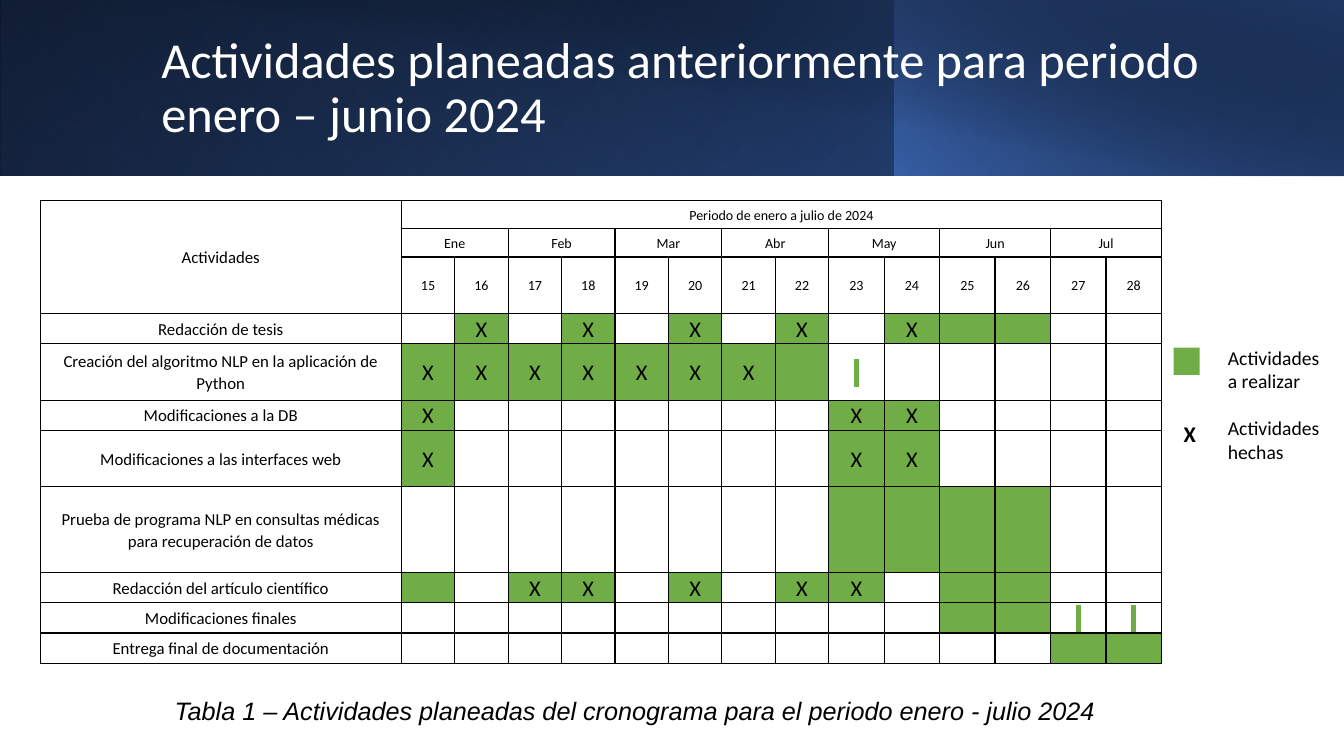
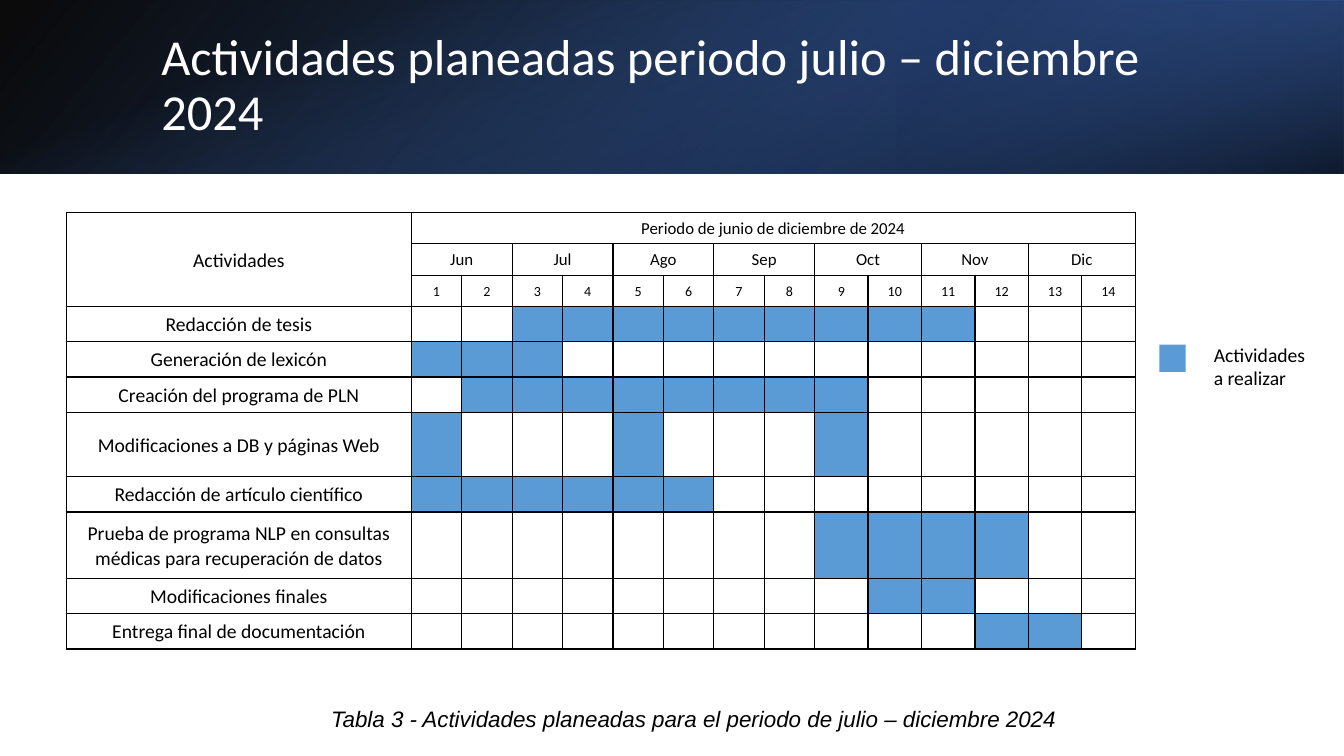
from lxml.etree import SubElement
from pptx import Presentation
from pptx.dml.color import RGBColor
from pptx.enum.shapes import MSO_SHAPE
from pptx.enum.text import MSO_ANCHOR, PP_ALIGN
from pptx.oxml.ns import qn
from pptx.util import Inches, Pt

BLACK = RGBColor(0x00, 0x00, 0x00)
WHITE = RGBColor(0xFF, 0xFF, 0xFF)
NAVY = RGBColor(0x20, 0x38, 0x64)
DEEP_BLUE = RGBColor(0x2F, 0x55, 0x97)
BLUE = RGBColor(0x44, 0x72, 0xC4)
GREEN = RGBColor(0x70, 0xAD, 0x47)
SKY = RGBColor(0x5B, 0x9B, 0xD5)

PLANNED, DONE, MARK = "#", "X", "|"
HEADER_ROWS = 3
TITLE_ONLY = 5


def lengths(values):
    return [Inches(value) for value in values]


class Schedule:
    """Holds the deck style and the slide being drawn."""

    def __init__(self):
        self.deck = Presentation()
        self.deck.slide_width, self.deck.slide_height = lengths((13.33, 7.5))
        self.slide = None

    def new_slide(self):
        self.slide = self.deck.slides.add_slide(self.deck.slide_layouts[TITLE_ONLY])

    def style(self, paragraph, size, color=BLACK, font="Calibri", align=PP_ALIGN.LEFT):
        paragraph.alignment = align
        paragraph.font.name = font
        paragraph.font.size = Pt(size)
        paragraph.font.color.rgb = color

    def rectangle(self, box):
        shape = self.slide.shapes.add_shape(MSO_SHAPE.RECTANGLE, *lengths(box))
        shape.shadow.inherit = False
        shape.line.fill.background()
        return shape

    def band(self, box, stops, angle, flip=False, rotation=0):
        """Gradient rectangle; stops are (position, colour, opacity) in percent, angle is clockwise."""
        shape = self.rectangle(box)
        shape.rotation = rotation
        if flip:
            shape.element.spPr.xfrm.set("flipH", "1")
        shape.fill.gradient()
        shape.fill.gradient_angle = 360 - angle
        for stop, (position, color, _) in zip(shape.fill.gradient_stops, stops):
            stop.position = position / 100
            stop.color.rgb = color
        for color_node, (_, _, opacity) in zip(shape.element.xpath(".//a:gs/a:srgbClr"), stops):
            SubElement(color_node, qn("a:alpha")).set("val", str(opacity * 1000))

    def title(self, text, box):
        title = self.slide.shapes.title
        title.left, title.top, title.width, title.height = lengths(box)
        title.text_frame.text = text
        title.text_frame.vertical_anchor = MSO_ANCHOR.MIDDLE
        heading = title.text_frame.paragraphs[0]
        heading.line_spacing = 0.9
        self.style(heading, 36, WHITE)
        title.element.getparent().append(title.element)  # in front of the bands

    def text(self, text, box, size, **style):
        frame = self.slide.shapes.add_textbox(*lengths(box)).text_frame
        frame.word_wrap = True
        frame.text = text
        self.style(frame.paragraphs[0], size, **style)
        return frame.paragraphs[0]

    def caption(self, text, box, size):
        self.text(text, box, size, font="Arial", align=PP_ALIGN.CENTER).font.italic = True

    def legend_planned(self, left, top, color):
        swatch = self.rectangle((left, top, 0.26, 0.27))
        swatch.fill.solid()
        swatch.fill.fore_color.rgb = color
        self.text("Actividades a realizar", (left + 0.44, top - 0.07, 1.17, 0.57), 14)

    def legend_done(self, left, top):
        self.text(DONE, (left, top, 0.42, 0.37), 16).font.bold = True
        self.text("Actividades hechas", (left + 0.44, top - 0.04, 1.17, 0.57), 14)

    def borders(self, cell):
        properties = cell._tc.get_or_add_tcPr()
        for position, side in enumerate(("a:lnL", "a:lnR", "a:lnT", "a:lnB")):
            line = SubElement(properties, qn(side), w=str(Pt(1)))
            SubElement(SubElement(line, qn("a:solidFill")), qn("a:srgbClr"), val=str(BLACK))
            properties.insert(position, line)

    def cell(self, cell, text, size, fill=None):
        cell.margin_left = cell.margin_right = Inches(0.07)
        cell.margin_top = cell.margin_bottom = 0
        cell.vertical_anchor = MSO_ANCHOR.MIDDLE
        paragraph = cell.text_frame.paragraphs[0]
        if text:
            paragraph.add_run().text = text
        paragraph.line_spacing = 1.07
        paragraph.space_after = Pt(8)
        self.style(paragraph, size, align=PP_ALIGN.CENTER)
        if fill is None:
            cell.fill.background()
        else:
            cell.fill.solid()
            cell.fill.fore_color.rgb = fill
        self.borders(cell)

    def week(self, cell, state, color):
        text = {DONE: DONE, MARK: " "}.get(state, "")
        self.cell(cell, text, 16 if text else 10, color if state in (PLANNED, DONE) else None)
        if state == MARK:
            run = cell.text_frame.paragraphs[0].runs[0]
            highlight = SubElement(run._r.get_or_add_rPr(), qn("a:highlight"))
            SubElement(highlight, qn("a:srgbClr"), val=str(color))

    def gantt(self, box, columns, heights, period, months, first_week, activities, color,
              label_size, month_size):
        weeks = 2 * len(months)
        table = self.slide.shapes.add_table(
            HEADER_ROWS + len(activities), 1 + weeks, *lengths(box)).table
        table.first_row = table.horz_banding = False
        for column, width in zip(table.columns, lengths(columns)):
            column.width = width
        for row, height in zip(table.rows, lengths(heights)):
            row.height = height

        headers = [
            ["Actividades", period] + [""] * (weeks - 1),
            [""] + [name for month in months for name in (month, "")],
            [""] + [str(first_week + week) for week in range(weeks)],
        ]
        for row, (texts, size) in enumerate(zip(headers, (month_size, month_size, 10))):
            for column, text in enumerate(texts):
                self.cell(table.cell(row, column), text, size if column else label_size)
        table.cell(0, 0).merge(table.cell(HEADER_ROWS - 1, 0))
        table.cell(0, 1).merge(table.cell(0, weeks))
        for column in range(1, weeks, 2):
            table.cell(1, column).merge(table.cell(1, column + 1))

        for row, (activity, states) in enumerate(activities, HEADER_ROWS):
            self.cell(table.cell(row, 0), activity, label_size)
            for column, state in enumerate(states, 1):
                self.week(table.cell(row, column), state, color)


def first_half(schedule):
    schedule.new_slide()
    schedule.band((0, 0, 13.33, 1.74), [(0, BLACK, 100), (100, DEEP_BLUE, 100)], 140, flip=True)
    schedule.band((0, 0, 8.88, 1.74), [(20, BLUE, 0), (100, NAVY, 55)], 230, flip=True,
                  rotation=180)
    schedule.band((8.87, 0, 4.46, 1.74), [(0, BLUE, 66), (100, BLACK, 30)], 220, flip=True)
    schedule.band((0.5, 0, 12.83, 1.75), [(50, BLACK, 0), (99, NAVY, 52)], 280)
    schedule.title("Actividades planeadas anteriormente para periodo enero – junio 2024",
                   (1.5, 0.32, 10.82, 1.13))
    schedule.gantt(
        (0.4, 1.99, 11.08, 4.61),
        [3.58] + [0.53] * 8 + [0.55] * 6,
        [0.28, 0.28, 0.56, 0.3, 0.56, 0.3, 0.56, 0.85, 0.3, 0.3, 0.3],
        "Periodo de enero a julio de 2024",
        ["Ene", "Feb", "Mar", "Abr", "May", "Jun", "Jul"], 15,
        [
            ("Redacción de tesis", ".X.X.X.X.X##.."),
            ("Creación del algoritmo NLP en la aplicación de Python", "XXXXXXX#|....."),
            ("Modificaciones a la DB", "X.......XX...."),
            ("Modificaciones a las interfaces web", "X.......XX...."),
            ("Prueba de programa NLP en consultas médicas para recuperación de datos",
             "........####.."),
            ("Redacción del artículo científico", "#.XX.X.XX.##.."),
            ("Modificaciones finales", "..........##||"),
            ("Entrega final de documentación", "............##"),
        ],
        GREEN, label_size=12, month_size=10)
    schedule.legend_planned(11.64, 3.45, GREEN)
    schedule.legend_done(11.64, 4.12)
    schedule.caption(
        "Tabla 1 – Actividades planeadas del cronograma para el periodo enero - julio 2024",
        (1.36, 6.85, 9.87, 0.4), 18)


def second_half(schedule):
    schedule.new_slide()
    schedule.band((0, 0, 13.33, 1.72), [(0, BLACK, 96), (100, DEEP_BLUE, 100)], 140, flip=True)
    schedule.band((8.89, 0, 4.44, 1.72), [(19, NAVY, 68), (100, BLUE, 79)], 320, flip=True,
                  rotation=180)
    schedule.band((5.8, -5.8, 1.72, 13.33), [(23, BLUE, 0), (99, BLACK, 74)], 340, rotation=90)
    schedule.title("Actividades planeadas periodo julio – diciembre 2024",
                   (1.5, 0.38, 10.98, 0.96))
    schedule.gantt(
        (0.66, 2.11, 10.59, 4.32),
        [3.42] + [0.5] * 8 + [0.53] * 6,
        [0.31, 0.31, 0.31, 0.35, 0.35, 0.35, 0.64, 0.35, 0.66, 0.35, 0.35],
        "Periodo de junio de diciembre de 2024",
        ["Jun", "Jul", "Ago", "Sep", "Oct", "Nov", "Dic"], 1,
        [
            ("Redacción de tesis", "..#########..."),
            ("Generación de lexicón", "###..........."),
            ("Creación del programa de PLN", ".########....."),
            ("Modificaciones a DB y páginas Web", "#...#...#....."),
            ("Redacción de artículo científico", "######........"),
            ("Prueba de programa NLP en consultas médicas para recuperación de datos",
             "........####.."),
            ("Modificaciones finales", ".........##..."),
            ("Entrega final de documentación", "...........##."),
        ],
        SKY, label_size=14, month_size=12)
    schedule.legend_planned(11.5, 3.42, SKY)
    schedule.caption("Tabla 3 - Actividades planeadas para el periodo de julio – diciembre 2024",
                     (2.51, 6.95, 8.74, 0.64), 16)


def main():
    schedule = Schedule()
    first_half(schedule)
    second_half(schedule)
    schedule.deck.save("out.pptx")


if __name__ == "__main__":
    main()
